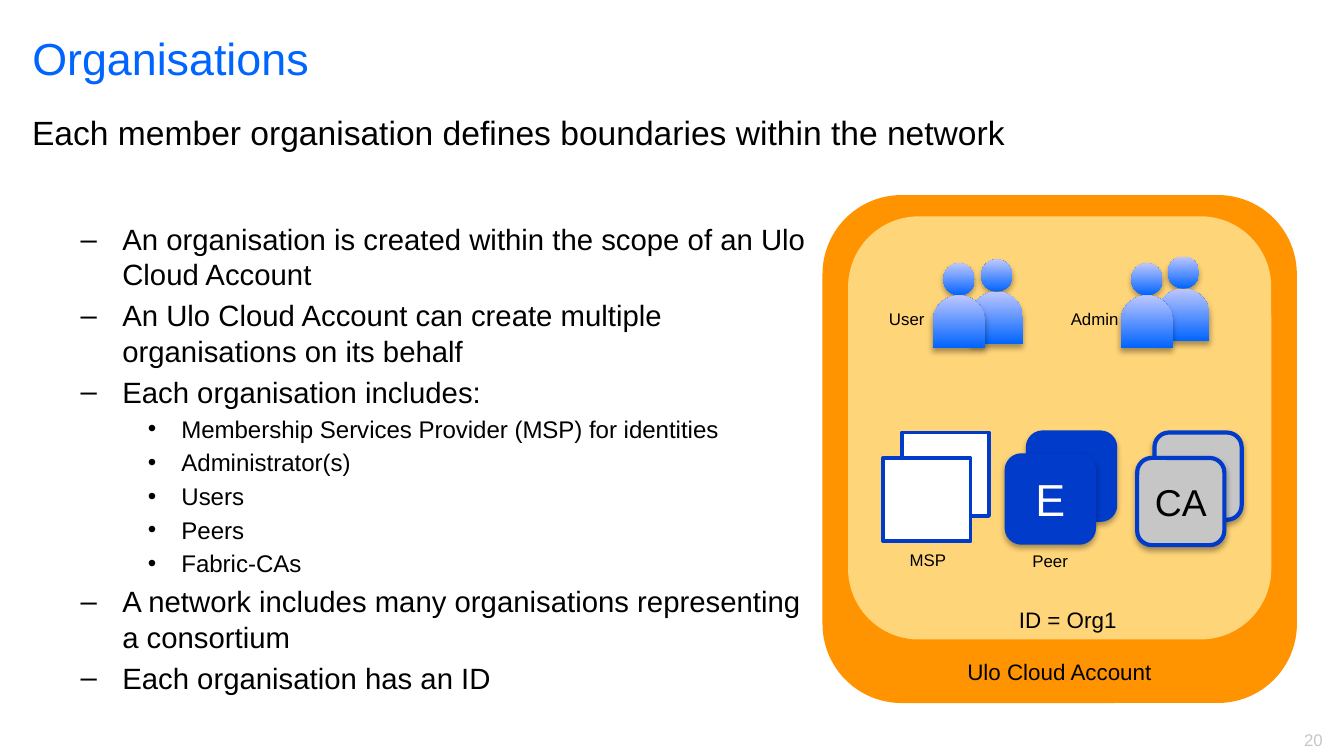
from lxml import etree
from pptx import Presentation, util as u
from pptx.dml.color import RGBColor
from pptx.enum import shapes, text
from pptx.oxml.ns import qn

WIDE = 10
HIGH = WIDE * 9 / 16
PAGE = (0, 0, WIDE, HIGH)
BLUE, DEEP, PALE, GREY = "0064FF", "003BC9", "BDC6FF", "C6C6C6"
BLACK, WHITE = "000000", "FFFFFF"
KIND = shapes.MSO_SHAPE
SIDE = text.PP_ALIGN

POINTS = [
    (1, "An organisation is created within the scope of an Ulo Cloud Account"),
    (1, "An Ulo Cloud Account can create multiple organisations on its behalf"),
    (1, "Each organisation includes:"),
    (2, "Membership Services Provider (MSP) for identities"),
    (2, "Administrator(s)"),
    (2, "Users"),
    (2, "Peers"),
    (2, "Fabric-CAs"),
    (1, "A network includes many organisations representing a consortium"),
    (1, "Each organisation has an ID"),
]
LEVELS = {1: (15.7, 0.81, -0.31, "–"), 2: (12.9, 1.25, -0.25, "•")}


def tint(code):
    return RGBColor.from_string(code)


def part(box, x, y, w, h):
    left, top, wide, high = box
    return (left + wide * x / 100, top + high * y / 100,
            wide * w / 100, high * h / 100)


def inch(box):
    return [u.Inches(side) for side in box]


def move(shape, box):
    shape.left, shape.top, shape.width, shape.height = inch(box)


def write(para, words, size, shade):
    run = para.add_run()
    run.text = words
    run.font.name = "Arial"
    run.font.size = u.Pt(size)
    run.font.color.rgb = tint(shade)


def label(slide, box, words, size, shade=BLACK, side=SIDE.CENTER, inset=0):
    frame = slide.shapes.add_textbox(*inch(box)).text_frame
    frame.word_wrap = True
    frame.margin_left = frame.margin_right = u.Inches(inset)
    para = frame.paragraphs[0]
    para.alignment = side
    write(para, words, size, shade)


def shade_below(shape):
    glow = shape._element.spPr.find(qn("a:effectLst"))
    drop = etree.SubElement(glow, qn("a:outerShdw"), blurRad=str(u.Pt(3.1)),
                            dist=str(u.Pt(1.8)), dir="5400000", rotWithShape="0")
    ink = etree.SubElement(drop, qn("a:srgbClr"), val=BLACK)
    etree.SubElement(ink, qn("a:alpha"), val="35000")


def block(slide, kind, box, fill=None, line=None, weight=2.25, drop=False):
    shape = slide.shapes.add_shape(kind, *inch(box))
    shape.shadow.inherit = False
    if fill:
        shape.fill.solid()
        shape.fill.fore_color.rgb = tint(fill)
    else:
        shape.fill.gradient()
        shape.fill.gradient_angle = 90
        for stop, shade in zip(shape.fill.gradient_stops, (BLUE, PALE)):
            stop.color.rgb = tint(shade)
    if line:
        shape.line.color.rgb = tint(line)
        shape.line.width = u.Pt(weight)
    else:
        shape.line.fill.background()
    if drop:
        shade_below(shape)
    return shape


def person(slide, box):
    block(slide, KIND.OVAL, part(box, 20, 0, 60, 38), drop=True)
    body = block(slide, KIND.ROUND_2_SAME_RECTANGLE,
                 part(box, 0, 38, 100, 62), drop=True)
    body.adjustments[0] = 0.5
    body.adjustments[1] = 0


def tiles(slide, kind, boxes, fill, weight, drop, words="", size=20, shade=BLACK):
    for box in boxes:
        tile = block(slide, kind, box, fill, DEEP, weight, drop)
        if words:
            frame = tile.text_frame
            frame.margin_left = frame.margin_right = 0
            frame.vertical_anchor = text.MSO_ANCHOR.MIDDLE
            para = frame.paragraphs[0]
            para.alignment = SIDE.CENTER
            write(para, words, size, shade)


def heading(slide, box):
    title = slide.shapes.title
    move(title, part(box, 0, 0, 93.3, 98))
    frame = title.text_frame
    frame.auto_size = text.MSO_AUTO_SIZE.NONE
    frame.vertical_anchor = text.MSO_ANCHOR.TOP
    frame.margin_top = u.Inches(0.18)
    para = frame.paragraphs[0]
    para.alignment = SIDE.LEFT
    write(para, "Organisations", 24, BLUE)
    label(slide, part(box, 0, 64.6, 100, 35.4),
          "Each member organisation defines boundaries within the network",
          18, side=SIDE.LEFT, inset=0.1)


def points(slide, box):
    body = slide.placeholders[1]
    move(body, box)
    frame = body.text_frame
    frame.auto_size = text.MSO_AUTO_SIZE.NONE
    frame.vertical_anchor = text.MSO_ANCHOR.TOP
    for row, (level, words) in enumerate(POINTS):
        size, left, hang, mark = LEVELS[level]
        para = frame.add_paragraph() if row else frame.paragraphs[0]
        para.level = level
        props = para._p.get_or_add_pPr()
        props.set("marL", str(u.Inches(left)))
        props.set("indent", str(u.Inches(hang)))
        etree.SubElement(props, qn("a:buFont"), typeface="Arial")
        etree.SubElement(props, qn("a:buChar"), char=mark)
        para.line_spacing = 1.0
        para.space_before = u.Pt(size * 0.2 if row else 0)
        write(para, words, size, BLACK)


def account(slide, box):
    block(slide, KIND.ROUNDED_RECTANGLE, box, "FF9300")
    label(slide, part(box, 26.6, 89.9, 46.7, 7.9), "Ulo Cloud Account", 12)
    group(slide, part(box, 5.4, 4.2, 89.2, 83.3))


def group(slide, box):
    block(slide, KIND.ROUNDED_RECTANGLE, box, "FFD579")
    for x, y in ((28.9, 10.2), (20, 11.1), (73, 9.5), (64.4, 11.1)):
        person(slide, part(box, x, y, 12.4, 20))
    for words, x, y in (("User", 4.8, 20.3), ("Admin", 49.2, 20.3),
                        ("MSP", 9.8, 77.1), ("Peer", 38.7, 77.5)):
        label(slide, part(box, x, y, 18.1, 7.9), words, 9)

    def pair(back, front, high=20.6):
        return [part(box, x, y, 20.6, high) for x, y in (back, front)]

    curve = KIND.ROUNDED_RECTANGLE
    tiles(slide, KIND.RECTANGLE, pair((12.7, 51.1), (8.3, 57.1), 19.7),
          WHITE, 2, False)
    tiles(slide, curve, pair((42.5, 51.1), (37.5, 56.5)),
          DEEP, 2.25, True, "E", 24, WHITE)
    tiles(slide, curve, pair((72.4, 51.1), (68.3, 57.1)),
          GREY, 2.25, True, "CA")
    label(slide, part(box, 25.7, 90.5, 52.4, 9.5), "ID = Org1", 12)


def main():
    deck = Presentation()
    deck.slide_width, deck.slide_height = u.Inches(WIDE), u.Inches(HIGH)
    slide = deck.slides.add_slide(deck.slide_layouts[1])
    heading(slide, part(PAGE, 1.4, 0.9, 91.1, 20.1))
    points(slide, part(PAGE, 0, 28.4, 61.8, 64.6))
    account(slide, part(PAGE, 61.2, 25.8, 35.3, 67.2))
    label(slide, part(PAGE, 93.6, 95.7, 5.8, 4.4), "20", 9, GREY,
          SIDE.RIGHT, 0.1)
    deck.save("out.pptx")


if __name__ == "__main__":
    main()
